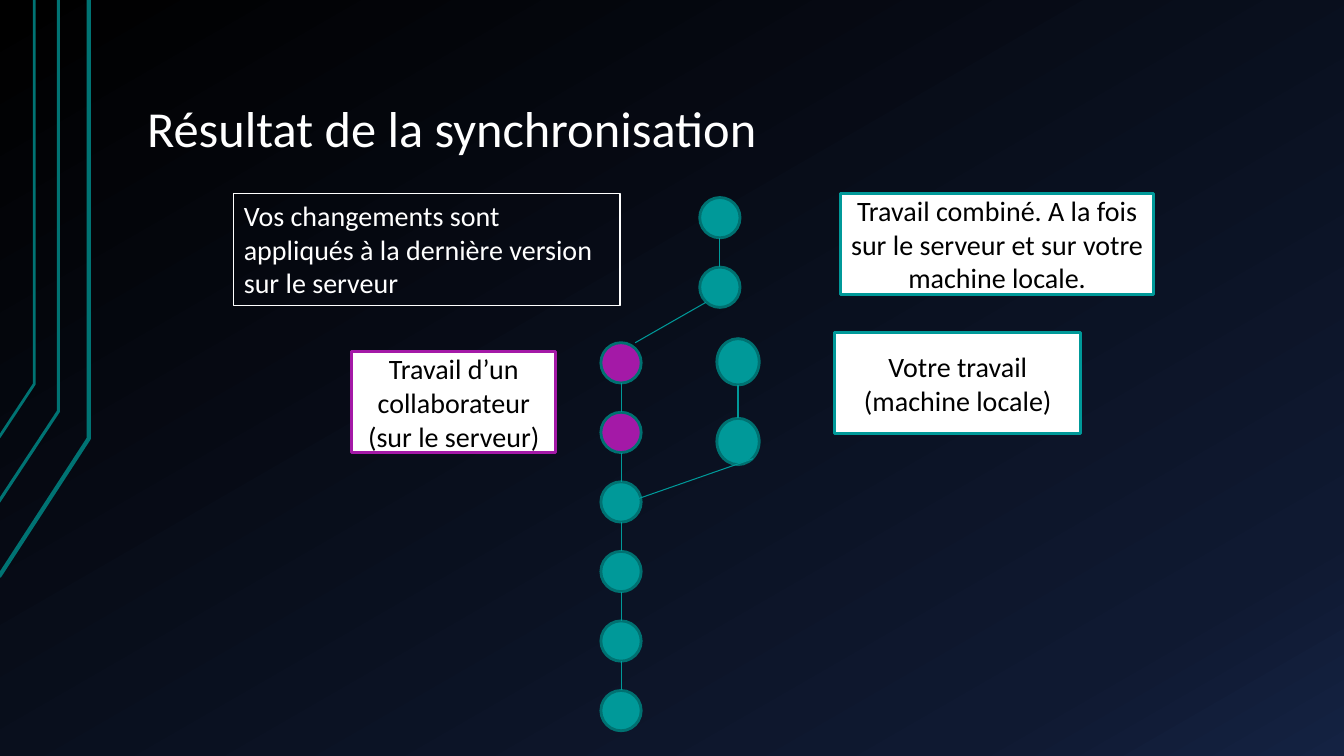
from copy import deepcopy
from dataclasses import dataclass

from lxml import etree
from pptx import Presentation
from pptx import util as u
from pptx.dml.color import RGBColor
from pptx.enum import shapes, text
from pptx.oxml.ns import qn


@dataclass(frozen=True)
class Theme:
    font: str = "Calibri"
    title_size: int = 36
    label_size: int = 20
    white: str = "FFFFFF"
    black: str = "000000"
    teal: str = "009999"
    teal_edge: str = "007171"
    track: str = "007373"
    purple: str = "A419A7"
    backdrop: tuple = ((0, "000000"), (0.85, "0F1931"), (1, "142242"))
    backdrop_angle: int = 300
    thin: float = 0.75
    thick: float = 2


class SlideBuilder:
    def __init__(self, s, theme):
        self.s = s
        self.theme = theme

    def background(self):
        fill = self.s.background.fill
        fill.gradient()
        fill.gradient_angle = self.theme.backdrop_angle
        gs_list = next(self.s._element.iter(qn("a:gsLst")))
        gs_list.append(deepcopy(gs_list[0]))
        for stop, (position, color) in zip(fill.gradient_stops, self.theme.backdrop):
            stop.position = position
            stop.color.rgb = RGBColor.from_string(color)

    def outline(self, sp, color, width):
        sp.line.color.rgb = RGBColor.from_string(color)
        sp.line.width = u.Pt(width)

    def paint(self, sp, fill, line, width):
        sp.shadow.inherit = False
        if fill:
            sp.fill.solid()
            sp.fill.fore_color.rgb = RGBColor.from_string(fill)
        else:
            sp.fill.background()
        self.outline(sp, line, width)

    def format_text(self, tf, size, color, align):
        for p in tf.paragraphs:
            p.alignment = align
            for r in p.runs:
                r.font.name = self.theme.font
                r.font.size = u.Pt(size)
                r.font.color.rgb = RGBColor.from_string(color)

    def title(self, words, x, y, w, h):
        sp = self.s.shapes.title
        sp.left, sp.top, sp.width, sp.height = map(u.Inches, (x, y, w, h))
        tf = sp.text_frame
        tf.text = words
        tf.word_wrap = True
        tf.auto_size = text.MSO_AUTO_SIZE.NONE
        tf.vertical_anchor = text.MSO_ANCHOR.BOTTOM
        tf.margin_left = tf.margin_right = u.Inches(0.13)
        tf.margin_top = tf.margin_bottom = u.Inches(0.07)
        tf.paragraphs[0].line_spacing = 0.9
        self.format_text(tf, self.theme.title_size, self.theme.white, text.PP_ALIGN.LEFT)

    def track(self, points, width):
        start, *rest = [(u.Inches(x), u.Inches(y)) for x, y in points]
        builder = self.s.shapes.build_freeform(*start)
        builder.add_line_segments(rest, close=False)
        self.paint(builder.convert_to_shape(), None, self.theme.track, width)

    def link(self, x1, y1, x2, y2):
        line = self.s.shapes.add_connector(
            shapes.MSO_CONNECTOR.STRAIGHT, *map(u.Inches, (x1, y1, x2, y2)))
        self.outline(line, self.theme.teal, self.theme.thin)
        etree.SubElement(line._element.spPr, qn("a:effectLst"))

    def branch(self, x, top, w, h, pitch, fills):
        for i, fill in enumerate(fills):
            y = top + i * pitch
            sp = self.s.shapes.add_shape(
                shapes.MSO_SHAPE.OVAL, *map(u.Inches, (x, y, w, h)))
            self.paint(sp, fill, self.theme.teal_edge, self.theme.thick)
            if i:
                self.link(x + w / 2, y, x + w / 2, y - pitch + h)

    def label(self, words, x, y, w, h, line, framed=True):
        th = self.theme
        sp = self.s.shapes.add_shape(
            shapes.MSO_SHAPE.RECTANGLE, *map(u.Inches, (x, y, w, h)))
        self.paint(sp, th.white if framed else None, line, th.thick if framed else th.thin)
        tf = sp.text_frame
        tf.text = words
        tf.word_wrap = True
        tf.vertical_anchor = text.MSO_ANCHOR.MIDDLE if framed else text.MSO_ANCHOR.TOP
        self.format_text(tf, th.label_size, th.black if framed else th.white,
                         text.PP_ALIGN.CENTER if framed else text.PP_ALIGN.LEFT)


def main():
    prs = Presentation()
    prs.slide_width, prs.slide_height = u.Inches(13.33), u.Inches(7.5)
    th = Theme()
    b = SlideBuilder(prs.slides.add_slide(prs.slide_layouts[5]), th)

    b.background()
    for x0, y0, x, y, width in (
        (-0.01, 5.72, 0.88, 4.35, 3),
        (-0.02, 4.99, 0.58, 4.08, 2.25),
        (-0.01, 4.34, 0.34, 3.81, 2),
    ):
        b.track([(x0, y0), (x, y), (x, 0)], width)
    b.title("Résultat de la synchronisation", 1.33, 0.3, 11.33, 1.34)

    b.branch(5.96, 3.4, 0.4, 0.4, 0.69, [th.purple] * 2 + [th.teal] * 4)
    b.branch(7.11, 3.36, 0.42, 0.46, 0.79, [th.teal] * 2)
    b.link(6.15, 5.01, 7.47, 4.55)
    b.branch(6.94, 1.96, 0.4, 0.4, 0.69, [th.teal] * 2)
    b.link(6.3, 3.4, 7, 3)

    b.label("Vos changements sont appliqués à la dernière version sur le serveur",
            2.32, 1.92, 3.83, 1.11, th.white, framed=False)
    b.label("Travail combiné. A la fois sur le serveur et sur votre machine locale.",
            8.34, 1.92, 3.1, 1, th.teal)
    b.label("Travail d’un collaborateur\n(sur le serveur)", 3.49, 3.49, 2.02, 1, th.purple)
    b.label("Votre travail (machine locale)", 8.28, 3.3, 2.44, 1, th.teal)

    prs.save("out.pptx")


if __name__ == "__main__":
    main()
